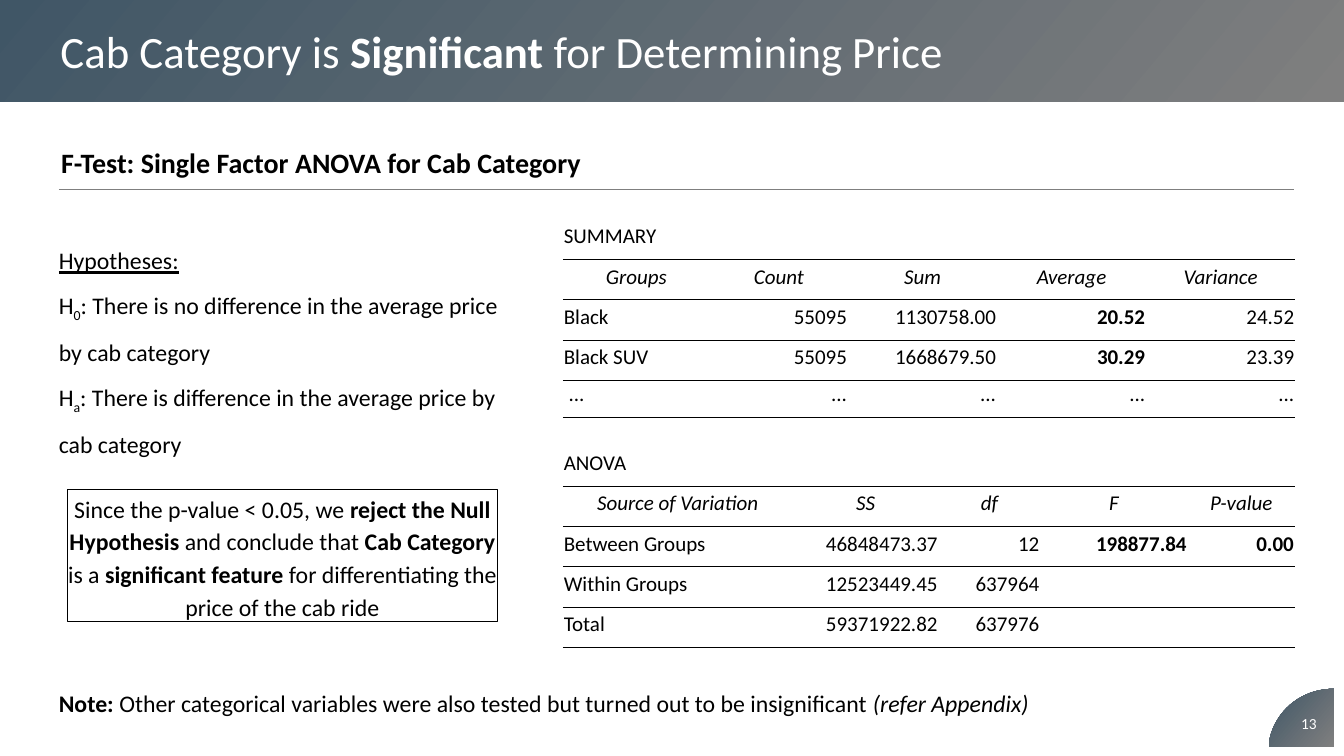
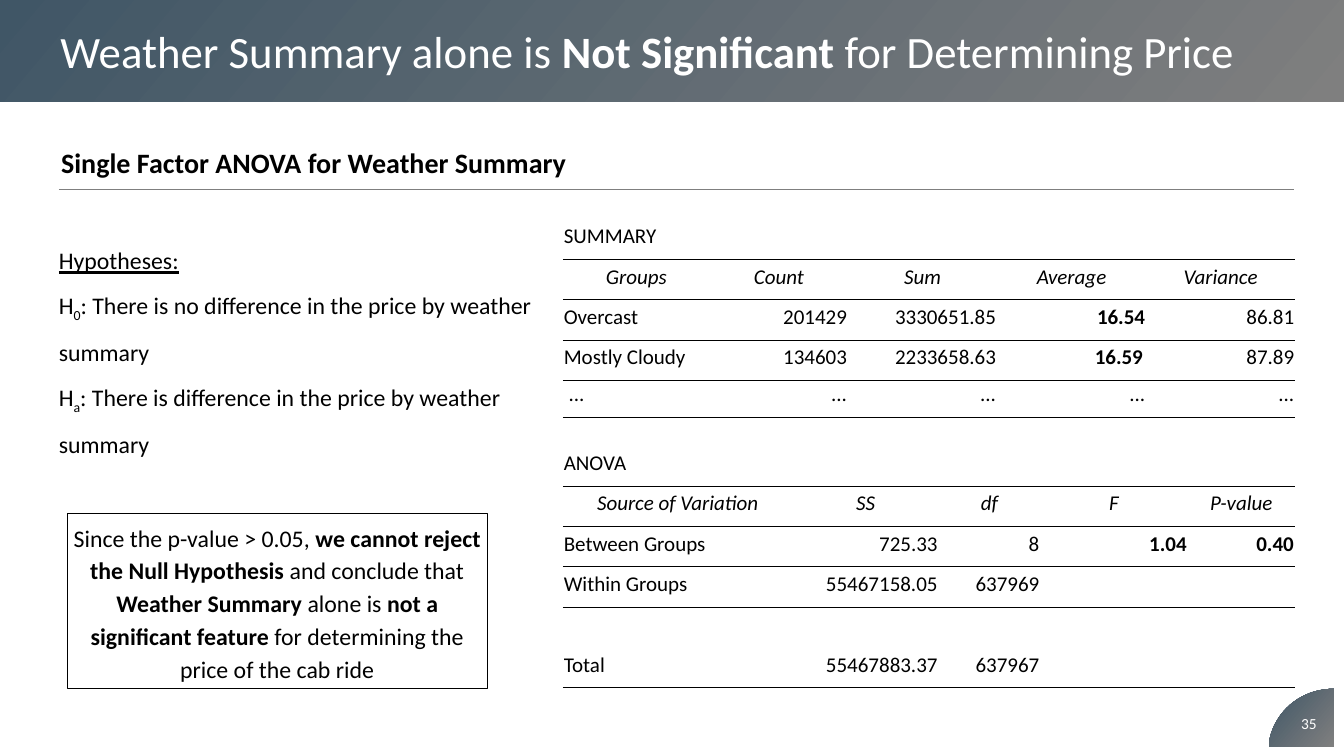
from dataclasses import dataclass
from typing import NamedTuple

from lxml.etree import SubElement
from pptx import Presentation
from pptx.dml.color import RGBColor as Rgb
from pptx.enum.shapes import MSO_CONNECTOR as Connector, MSO_SHAPE as Preset
from pptx.enum.text import MSO_ANCHOR as Anchor, PP_ALIGN as Align
from pptx.oxml.ns import qn
from pptx.util import Inches, Pt

COLORS = {"dark": "405666", "gray": "7F7F7F", "black": "000000", "white": "FFFFFF"}
FONT = "Calibri"
NO_GRID_STYLE = "{2D5ABB26-0587-4C30-8999-92F81FD0307C}"

# The slide is a grid of 160 columns by 90 rows of square cells
CELL = Inches(40 / 3) / 160

# Inline marks that switch a character format on and off
MARKS = {"*": "bold", "_": "italic", "^": "underline", "~": "subscript"}


class Box(NamedTuple):
    left: float
    top: float
    width: float
    height: float


class TableLayout(NamedTuple):
    heading: str
    top: float
    columns: list[float]
    header: list[str]
    last_row: float


@dataclass
class TestSlide:
    number: int
    title: str
    subtitle: str
    hypotheses: list[str]
    conclusion: str
    conclusion_box: Box
    summary: list[list[str]]
    anova: list[list[str]]
    note: str = ""


SUMMARY = TableLayout("SUMMARY", 26.2, [17.5, 16.45, 17.75, 17.75, 17.75],
                      ["Groups", "Count", "Sum", "Average", "Variance"], 4.4)
ANOVA = TableLayout("ANOVA", 53.2, [27.35, 17.4, 12.1, 17.55, 12.75],
                    ["Source of Variation", "SS", "df", "F", "P-value"], 4.8)
TABLE_LEFT, HEADING_ROW, DATA_ROW = 67, 4.68, 4.8
ELLIPSIS_ROW = [" ..."] * 5

SLIDES = [
    TestSlide(
        number=13,
        title="Cab Category is *Significant* for Determining Price",
        subtitle="F-Test: Single Factor ANOVA for Cab Category",
        hypotheses=["^Hypotheses:^",
                    "H~0~: There is no difference in the average price",
                    "by cab category",
                    "H~a~: There is difference in the average price by cab category"],
        conclusion="Since the p-value < 0.05, we *reject the Null Hypothesis* and "
                   "conclude that *Cab Category* is a *significant feature* for "
                   "differentiating the price of the cab ride",
        conclusion_box=Box(8, 58.3, 51.25, 15.7),
        summary=[["Black", "55095", "1130758.00", "*20.52*", "24.52"],
                 ["Black SUV", "55095", "1668679.50", "*30.29*", "23.39"],
                 ELLIPSIS_ROW],
        anova=[["Between Groups", "46848473.37", "12", "*198877.84*", "*0.00*"],
               ["Within Groups", "12523449.45", "637964", "", ""],
               ["Total", "59371922.82", "637976", "", ""]],
        note="*Note: *Other categorical variables were also tested but turned out "
             "to be insignificant _(refer Appendix)_",
    ),
    TestSlide(
        number=35,
        title="Weather Summary alone is *Not Significant* for Determining Price",
        subtitle="Single Factor ANOVA for Weather Summary",
        hypotheses=["^Hypotheses:^",
                    "H~0~: There is no difference in the price by weather summary",
                    "H~a~: There is difference in the price by weather summary"],
        conclusion="Since the p-value > 0.05, *we cannot reject the Null Hypothesis* "
                   "and conclude that *Weather Summary *alone is *not a significant "
                   "feature* for determining the price of the cab ride",
        conclusion_box=Box(8, 61.1, 50, 20.9),
        summary=[["Overcast", "201429", "3330651.85", "*16.54*", "86.81"],
                 ["Mostly Cloudy", "134603", "2233658.63", "*16.59\t*", "87.89"],
                 ELLIPSIS_ROW],
        anova=[["Between Groups", "725.33", "8", "*1.04*", "*0.40*"],
               ["Within Groups", "55467158.05", "637969", "", ""],
               [""] * 5,
               ["Total", "55467883.37", "637967", "", ""]],
    ),
]


def cells(count: float) -> int:
    return round(count * CELL)


def place(box: Box) -> list[int]:
    return [cells(value) for value in box]


def color(name: str) -> Rgb:
    return Rgb.from_string(COLORS[name])


# Text
def add_run(paragraph, text: str, active: set, size: float, ink: str) -> None:
    run = paragraph.add_run()
    run.text = text
    font = run.font
    font.name, font.size = FONT, Pt(size)
    font.color.rgb = color(ink)
    font.bold, font.italic = "bold" in active, "italic" in active
    font.underline = "underline" in active
    if "subscript" in active:
        run._r.get_or_add_rPr().set("baseline", "-25000")


def write(frame, text: str | list[str], *, size: float, ink: str = "black",
          align=Align.LEFT, spacing: float = 1.0, anchor=Anchor.TOP) -> None:
    frame.word_wrap = True
    frame.vertical_anchor = anchor
    lines = [text] if isinstance(text, str) else text
    for index, line in enumerate(lines):
        paragraph = frame.add_paragraph() if index else frame.paragraphs[0]
        paragraph.alignment, paragraph.line_spacing = align, spacing
        active, pending = set(), ""
        for character in line:
            if character not in MARKS:
                pending += character
                continue
            if pending:
                add_run(paragraph, pending, active, size, ink)
            active ^= {MARKS[character]}
            pending = ""
        if pending:
            add_run(paragraph, pending, active, size, ink)
        if not line:
            end = SubElement(paragraph._p, qn("a:endParaRPr"))
            end.set("sz", str(size * 100))


def set_margins(target, left: float, top: float, right: float, bottom: float) -> None:
    target.margin_left, target.margin_top = Inches(left), Inches(top)
    target.margin_right, target.margin_bottom = Inches(right), Inches(bottom)


def add_text(slide, box: Box, text: str | list[str], inset: bool = False, **style) -> None:
    frame = slide.shapes.add_textbox(*place(box)).text_frame
    if not inset:
        set_margins(frame, 0, 0, 0, 0)
    write(frame, text, **style)


# Shapes
def paint_gradient(shape) -> None:
    shape.shadow.inherit = False
    shape.line.fill.background()
    shape.fill.gradient()
    shape.fill.gradient_angle = 320
    for stop, position, name in zip(shape.fill.gradient_stops, (0, 1), ("dark", "gray")):
        stop.position, stop.color.rgb = position, color(name)


def add_corner(slide, number: int) -> None:
    curve = [(151.1, 88.2), (151.8, 84.6), (154.9, 82), (158.8, 82)]
    steps = 24
    points = [(158.8, 88.9), (151.1, 88.9)]
    for step in range(steps + 1):
        t = step / steps
        weights = ((1 - t) ** 3, 3 * t * (1 - t) ** 2, 3 * t ** 2 * (1 - t), t ** 3)
        points.append(tuple(sum(weight * point[axis] for weight, point in zip(weights, curve))
                            for axis in (0, 1)))
    outline = [(cells(x), cells(y)) for x, y in points]
    builder = slide.shapes.build_freeform(*outline[0])
    builder.add_line_segments(outline[1:], close=True)
    paint_gradient(builder.convert_to_shape())
    add_text(slide, Box(153.25, 83.75, 5.15, 4.8), str(number), inset=True, size=11,
             ink="white", align=Align.CENTER, anchor=Anchor.MIDDLE)


def add_heading(slide, title: str, subtitle: str) -> None:
    band = slide.shapes.add_shape(Preset.RECTANGLE, *place(Box(0, 0, 160, 12.1)))
    paint_gradient(band)
    set_margins(band.text_frame, 0.6, 0.05, 0.1, 0.05)
    write(band.text_frame, title, size=32, ink="white", anchor=Anchor.MIDDLE)
    add_text(slide, Box(6.1, 16.7, 88, 4.8), f"*{subtitle}*", inset=True, size=20)
    rule = slide.shapes.add_connector(Connector.STRAIGHT, cells(7), cells(22.6),
                                      cells(154.1), cells(22.6))
    rule.line.color.rgb, rule.line.width = color("gray"), Pt(0.75)
    SubElement(rule._element.spPr, qn("a:effectLst"))


def add_conclusion(slide, box: Box, text: str) -> None:
    shape = slide.shapes.add_shape(Preset.RECTANGLE, *place(box))
    shape.shadow.inherit = False
    shape.fill.background()
    shape.line.color.rgb, shape.line.width = color("black"), Pt(0.75)
    set_margins(shape.text_frame, 0, 0, 0, 0)
    write(shape.text_frame, text, size=17, align=Align.CENTER, spacing=1.15,
          anchor=Anchor.MIDDLE)


# Tables
def add_border(cell, side: str, width: float) -> None:
    line = SubElement(cell._tc.get_or_add_tcPr(), qn(f"a:{side}"))
    line.set("w", str(Pt(width)))
    fill = SubElement(line, qn("a:solidFill"))
    SubElement(fill, qn("a:srgbClr")).set("val", COLORS["black"])


def add_results(slide, layout: TableLayout, data: list[list[str]]) -> None:
    header = [f"_{name}_" for name in layout.header]
    rows = [[layout.heading] + [""] * 4, header, *data]
    last = len(rows) - 1
    heights = [HEADING_ROW] + [DATA_ROW] * (last - 1) + [layout.last_row]
    rules = {0: 1, 1: 0.75, 2: 0.75, last: 1}
    box = Box(TABLE_LEFT, layout.top, sum(layout.columns), sum(heights))
    table = slide.shapes.add_table(len(rows), len(layout.columns), *place(box)).table
    table.first_row = table.horz_banding = False
    table._tbl.tblPr[0].text = NO_GRID_STYLE
    for column, width in zip(table.columns, layout.columns):
        column.width = cells(width)
    for row_index, (row, height) in enumerate(zip(rows, heights)):
        table.rows[row_index].height = cells(height)
        for column_index, text in enumerate(row):
            cell = table.cell(row_index, column_index)
            set_margins(cell, 0.01, 0.01, 0.01, 0.1)
            cell.vertical_anchor = Anchor.BOTTOM
            for side, edge in (("lnT", row_index - 1), ("lnB", row_index)):
                if edge in rules:
                    add_border(cell, side, rules[edge])
            cell.fill.background()
            align = (Align.CENTER if row_index == 1
                     else Align.RIGHT if column_index else Align.LEFT)
            plain = row_index == 0 or row is ELLIPSIS_ROW
            write(cell.text_frame, text, size=15, align=align,
                  spacing=1.0 if plain else 1.15, anchor=None)


def build_slide(presentation, content: TestSlide) -> None:
    slide = presentation.slides.add_slide(presentation.slide_layouts[6])
    add_corner(slide, content.number)
    add_heading(slide, content.title, content.subtitle)
    add_results(slide, SUMMARY, content.summary)
    add_results(slide, ANOVA, content.anova)
    add_conclusion(slide, content.conclusion_box, content.conclusion)
    add_text(slide, Box(7, 27.6, 56.4, 23.75), content.hypotheses, size=17, spacing=1.5)
    if content.note:
        add_text(slide, Box(7, 80.3, 143.3, 7), content.note, size=17, spacing=1.5)


def main() -> None:
    presentation = Presentation()
    presentation.slide_width, presentation.slide_height = cells(160), cells(90)
    for content in SLIDES:
        build_slide(presentation, content)
    presentation.save("out.pptx")


if __name__ == "__main__":
    main()
